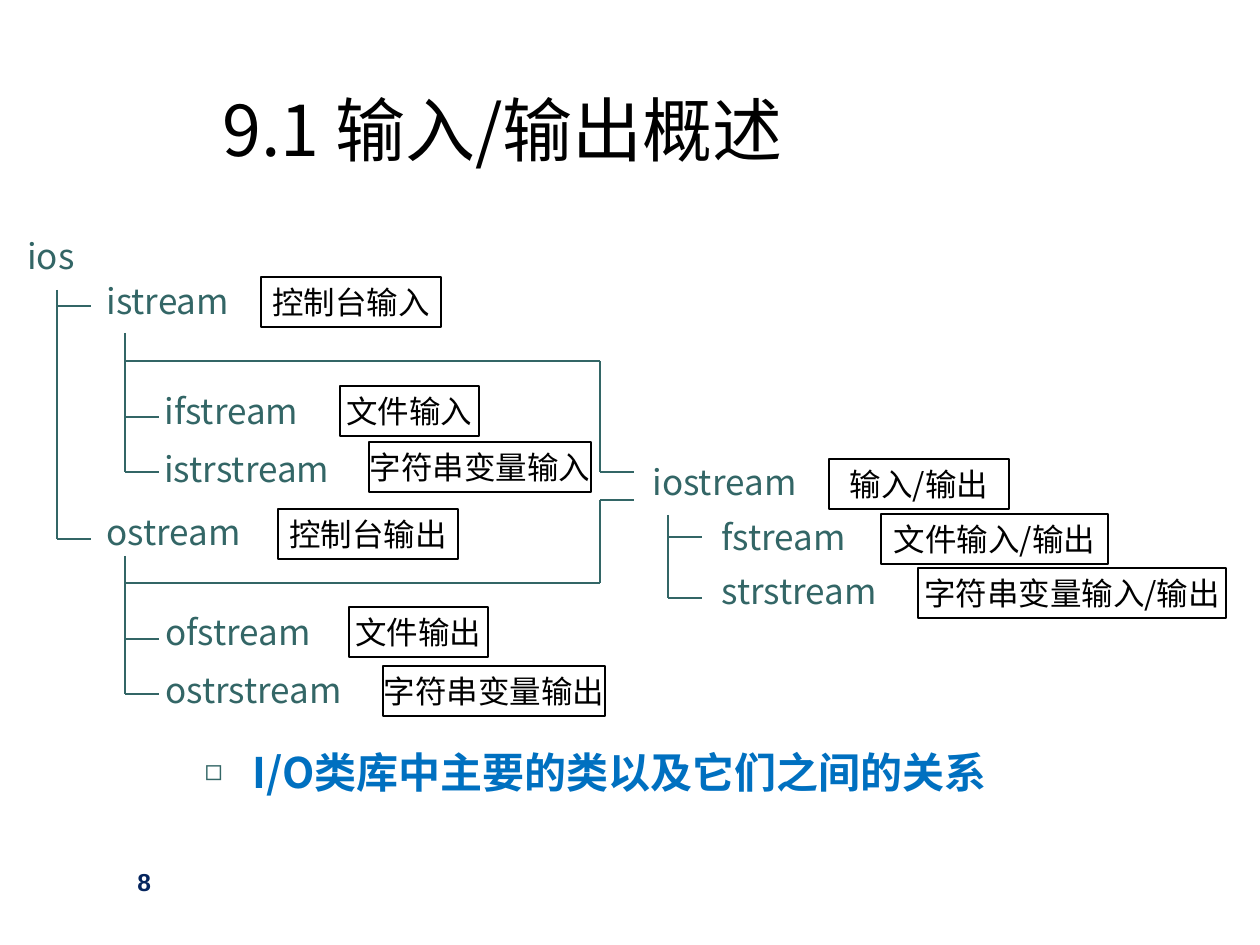
from dataclasses import dataclass

import lxml.etree
import pptx
import pptx.dml.color
import pptx.enum.shapes
import pptx.enum.text
import pptx.oxml.ns
import pptx.util

qn = pptx.oxml.ns.qn
RGBColor = pptx.dml.color.RGBColor
ALIGN = pptx.enum.text.PP_ALIGN
ANCHOR = pptx.enum.text.MSO_ANCHOR
AUTO_SIZE = pptx.enum.text.MSO_AUTO_SIZE

TEAL = RGBColor(0x33, 0x66, 0x66)
BLUE = RGBColor(0x00, 0x70, 0xC0)
NAVY = RGBColor(0x05, 0x25, 0x5E)
BLACK = RGBColor(0x00, 0x00, 0x00)

FONT = "Noto Sans CJK SC"
PX_PER_INCH = 126
STUB = 34
NAME_HEIGHT = 55
NOTE_HEIGHT = 50


@dataclass(frozen=True)
class Label:
    text: str
    left: int
    top: int
    width: int


@dataclass(frozen=True)
class Tree:
    """A vertical trunk with a short stub at each branch height."""
    x: int
    top: int
    branches: tuple[int, ...]


@dataclass(frozen=True)
class Join:
    """A path from a parent trunk to the class that inherits from both."""
    parent_y: int
    child_y: int


CLASS_NAMES = (
    Label("ios", 15, 228, 87),
    Label("istream", 94, 273, 160),
    Label("ifstream", 152, 383, 173),
    Label("istrstream", 152, 441, 204),
    Label("ostream", 94, 504, 174),
    Label("ofstream", 153, 604, 185),
    Label("ostrstream", 153, 662, 217),
    Label("iostream", 640, 454, 183),
    Label("fstream", 709, 509, 164),
    Label("strstream", 709, 563, 194),
)
NOTES = (
    Label("控制台输入", 261, 277, 180),
    Label("文件输入", 340, 386, 139),
    Label("字符串变量输入", 369, 442, 222),
    Label("控制台输出", 278, 509, 180),
    Label("文件输出", 349, 607, 139),
    Label("字符串变量输出", 383, 666, 222),
    Label("输入/输出", 829, 459, 180),
    Label("文件输入/输出", 881, 514, 227),
    Label("字符串变量输入/输出", 918, 568, 308),
)
PARENT_X, JOIN_X = 125, 600
TREES = (
    Tree(57, 290, (306, 539)),
    Tree(PARENT_X, 333, (417, 472)),
    Tree(PARENT_X, 556, (639, 694)),
    Tree(668, 515, (537, 598)),
)
JOINS = (Join(361, 472), Join(583, 500))


def px(n: int) -> int:
    return pptx.util.Emu(round(n * 914400 / PX_PER_INCH))


def place(sp, left: int, top: int, width: int, height: int) -> None:
    sp.left, sp.top, sp.width, sp.height = map(px, (left, top, width, height))


def write(sp, text: str, size: int, color: RGBColor, bold: bool = False,
          font: str = FONT, align=ALIGN.LEFT) -> None:
    p = sp.text_frame.paragraphs[0]
    p.text = text
    p.alignment = align
    for r in p.runs:
        r.font.size = pptx.util.Pt(size)
        r.font.bold = bold
        r.font.color.rgb = color
        r.font.name = font
        ea = lxml.etree.SubElement(r._r.get_or_add_rPr(), qn("a:ea"))
        ea.set("typeface", font)


def add_line(s, x1: int, y1: int, x2: int, y2: int) -> None:
    line = s.shapes.add_connector(
        pptx.enum.shapes.MSO_CONNECTOR.STRAIGHT, px(x1), px(y1), px(x2), px(y2))
    line.line.color.rgb = TEAL
    line.line.width = pptx.util.Pt(0.75)
    lxml.etree.SubElement(line._element.spPr, qn("a:effectLst"))


def add_tree(s, tree: Tree) -> None:
    add_line(s, tree.x, tree.top, tree.x, tree.branches[-1])
    for y in tree.branches:
        add_line(s, tree.x, y, tree.x + STUB, y)


def add_join(s, join: Join) -> None:
    add_line(s, PARENT_X, join.parent_y, JOIN_X, join.parent_y)
    add_line(s, JOIN_X, join.parent_y, JOIN_X, join.child_y)
    add_line(s, JOIN_X, join.child_y, JOIN_X + STUB, join.child_y)


def add_class_name(s, label: Label) -> None:
    sp = s.shapes.add_textbox(
        px(label.left), px(label.top), px(label.width), px(NAME_HEIGHT))
    sp.text_frame.word_wrap = False
    write(sp, label.text, 20, TEAL)


def add_note(s, label: Label) -> None:
    sp = s.shapes.add_shape(
        pptx.enum.shapes.MSO_SHAPE.RECTANGLE,
        px(label.left), px(label.top), px(label.width), px(NOTE_HEIGHT))
    sp.shadow.inherit = False
    sp.fill.background()
    sp.line.color.rgb = BLACK
    sp.line.width = pptx.util.Pt(0.75)
    sp.text_frame.word_wrap = False
    sp.text_frame.vertical_anchor = ANCHOR.MIDDLE
    write(sp, label.text, 18, BLACK, align=ALIGN.CENTER)


def add_bullet(p) -> None:
    pPr = p._p.get_or_add_pPr()
    indent = px(48)
    pPr.set("marL", str(indent))
    pPr.set("indent", str(-indent))
    color = lxml.etree.SubElement(pPr, qn("a:buClr"))
    lxml.etree.SubElement(color, qn("a:srgbClr")).set("val", str(TEAL))
    lxml.etree.SubElement(pPr, qn("a:buSzPct")).set("val", "70000")
    lxml.etree.SubElement(pPr, qn("a:buChar")).set("char", "◻")


def set_placeholder(sp) -> None:
    sp.text_frame.vertical_anchor = ANCHOR.MIDDLE
    sp.text_frame.auto_size = AUTO_SIZE.NONE


def main() -> None:
    prs = pptx.Presentation()
    prs.slide_width, prs.slide_height = px(1260), px(945)
    s = prs.slides.add_slide(prs.slide_layouts[1])

    title, body = s.placeholders
    place(title, 210, 49, 794, 158)
    set_placeholder(title)
    write(title, "9.1 输入/输出概述", 40, BLACK)

    place(body, 192, 732, 848, 88)
    set_placeholder(body)
    p = body.text_frame.paragraphs[0]
    add_bullet(p)
    p.line_spacing = 0.8
    p.space_before = pptx.util.Pt(0)
    write(body, "I/O类库中主要的类以及它们之间的关系", 24, BLUE, bold=True)

    for tree in TREES:
        add_tree(s, tree)
    for join in JOINS:
        add_join(s, join)
    for label in CLASS_NAMES:
        add_class_name(s, label)
    for label in NOTES:
        add_note(s, label)

    number = s.shapes.add_textbox(px(125), px(861), px(262), px(63))
    number.text_frame.word_wrap = True
    write(number, "8", 14, NAVY, bold=True, font="Arial")

    prs.save("out.pptx")


if __name__ == "__main__":
    main()
